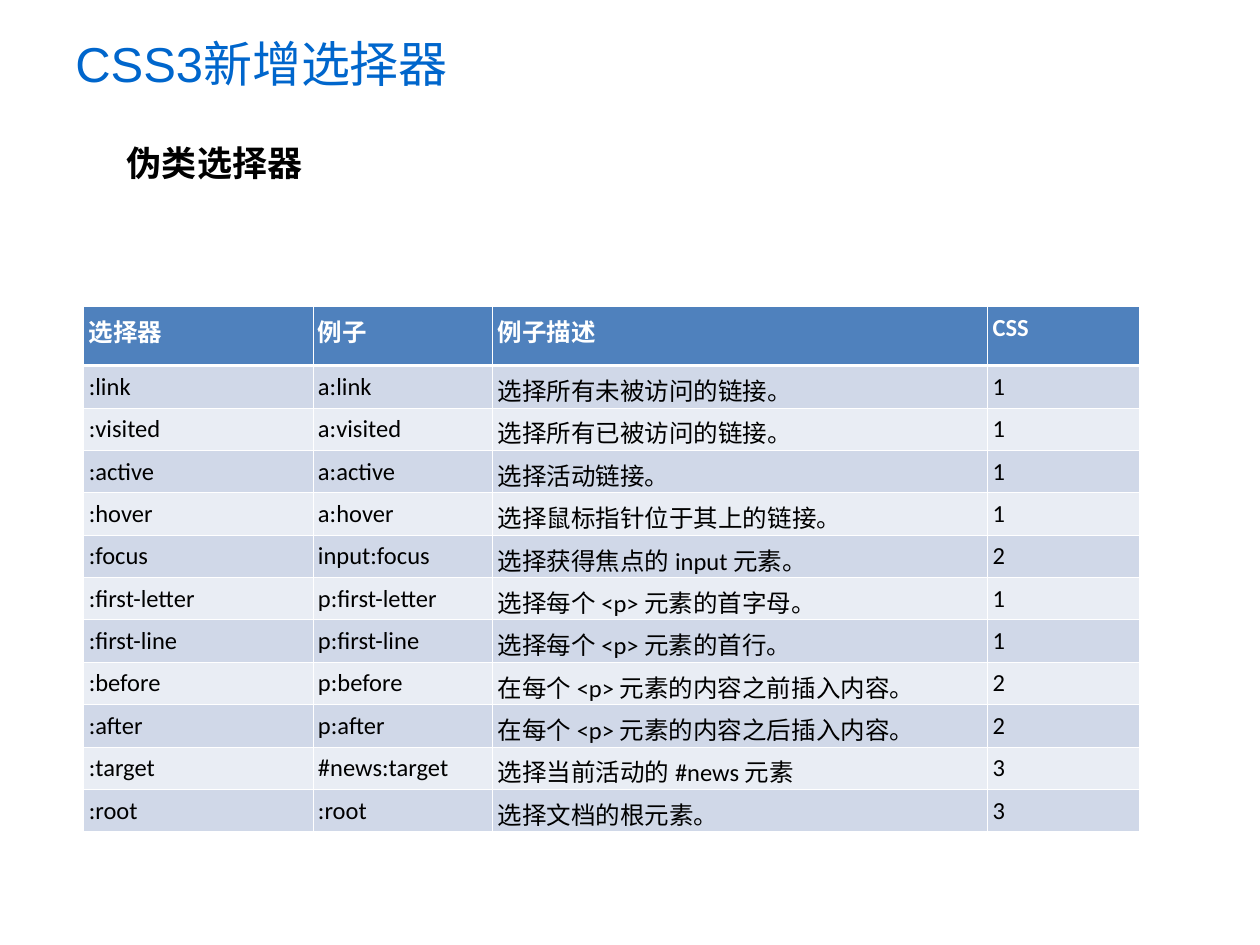
from dataclasses import dataclass

from lxml.etree import SubElement
from pptx import Presentation
from pptx.dml.color import RGBColor
from pptx.enum.text import MSO_ANCHOR, MSO_AUTO_SIZE
from pptx.oxml.ns import qn
from pptx.util import Cm, Pt


@dataclass(frozen=True)
class Theme:
    title: str = "0066CC"
    text: str = "000000"
    white: str = "FFFFFF"
    header: str = "4F81BD"
    bands: tuple = ("D0D8E8", "E9EDF4")
    title_size: int = 28
    subtitle_size: int = 20
    table_size: int = 14
    thin: float = 0.45
    thick: float = 1.5
    heading_font: str = "Arial"
    table_font: str = "Calibri"


theme = Theme()


def write(frame, text, font_name, size, color, bold=False):
    frame.word_wrap = True
    paragraph = frame.paragraphs[0]
    paragraph.text = text
    font = paragraph.runs[0].font
    font.name, font.size, font.bold = font_name, Pt(size), bold
    font.color.rgb = RGBColor.from_string(color)


def add_border(cell, side, width):
    """Draw one white cell edge; side is L, R, T or B. Call before the fill."""
    line = SubElement(cell._tc.get_or_add_tcPr(), qn(f"a:ln{side}"), w=str(Pt(width)))
    SubElement(SubElement(line, qn("a:solidFill")), qn("a:srgbClr"), val=theme.white)


prs = Presentation()
prs.slide_width, prs.slide_height = Cm(25.4), Cm(19.05)
slide = prs.slides.add_slide(prs.slide_layouts[6])

title = slide.shapes.add_textbox(Cm(1.27), Cm(0), Cm(19.43), Cm(2.54)).text_frame
title.vertical_anchor = MSO_ANCHOR.MIDDLE
write(title, "CSS3新增选择器", theme.heading_font, theme.title_size, theme.title)

subtitle = slide.shapes.add_textbox(Cm(2.31), Cm(2.72), Cm(6.2), Cm(1.12)).text_frame
subtitle.auto_size = MSO_AUTO_SIZE.SHAPE_TO_FIT_TEXT
write(subtitle, "伪类选择器", theme.heading_font, theme.subtitle_size, theme.text, bold=True)

selectors = [
    ("选择器", "例子", "例子描述", "CSS"),
    (":link", "a:link", "选择所有未被访问的链接。", "1"),
    (":visited", "a:visited", "选择所有已被访问的链接。", "1"),
    (":active", "a:active", "选择活动链接。", "1"),
    (":hover", "a:hover", "选择鼠标指针位于其上的链接。", "1"),
    (":focus", "input:focus", "选择获得焦点的 input 元素。", "2"),
    (":first-letter", "p:first-letter", "选择每个 <p> 元素的首字母。", "1"),
    (":first-line", "p:first-line", "选择每个 <p> 元素的首行。", "1"),
    (":before", "p:before", "在每个 <p> 元素的内容之前插入内容。", "2"),
    (":after", "p:after", "在每个 <p> 元素的内容之后插入内容。", "2"),
    (":target", "#news:target", "选择当前活动的 #news 元素", "3"),
    (":root", ":root", "选择文档的根元素。", "3"),
]
column_widths = [4.62, 3.62, 9.98, 3.05]
header_height, row_height = 1.19, 0.74

table = slide.shapes.add_table(
    len(selectors), len(column_widths), Cm(1.69), Cm(6.18), Cm(sum(column_widths)),
    Cm(header_height + row_height * (len(selectors) - 1))).table
table.horz_banding = False
for column, width in zip(table.columns, column_widths):
    column.width = Cm(width)

for row_index, entries in enumerate(selectors):
    is_header = row_index == 0
    table.rows[row_index].height = Cm(header_height if is_header else row_height)
    fill_color = theme.header if is_header else theme.bands[(row_index - 1) % 2]
    text_color = theme.white if is_header else theme.text
    edges = {"L": theme.thin, "R": theme.thin,
             "T": theme.thick if row_index == 1 else theme.thin,
             "B": theme.thick if is_header else theme.thin}
    for column_index, entry in enumerate(entries):
        cell = table.cell(row_index, column_index)
        cell.margin_left = cell.margin_right = Cm(0.1)
        cell.margin_top = cell.margin_bottom = Cm(0.13)
        for side, width in edges.items():
            add_border(cell, side, width)
        cell.fill.solid()
        cell.fill.fore_color.rgb = RGBColor.from_string(fill_color)
        write(cell.text_frame, entry, theme.table_font, theme.table_size,
              text_color, bold=is_header)

prs.save("out.pptx")
